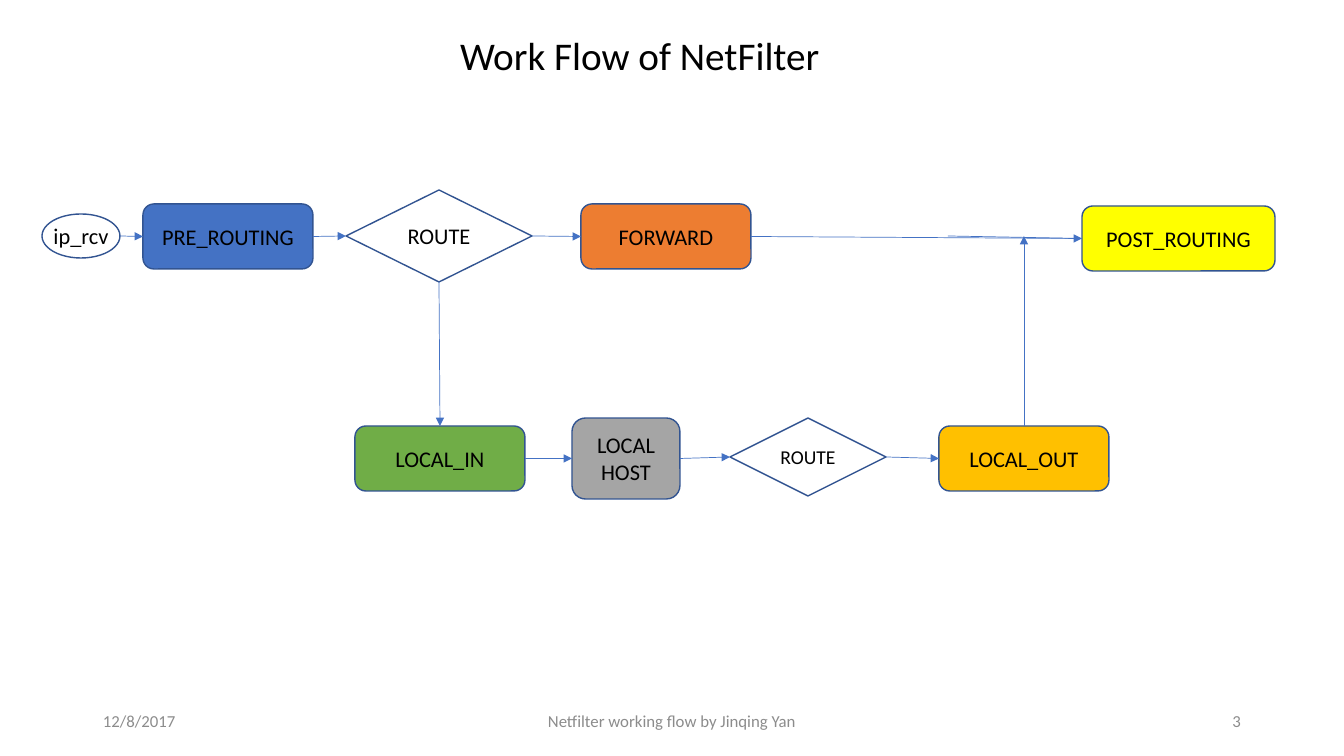
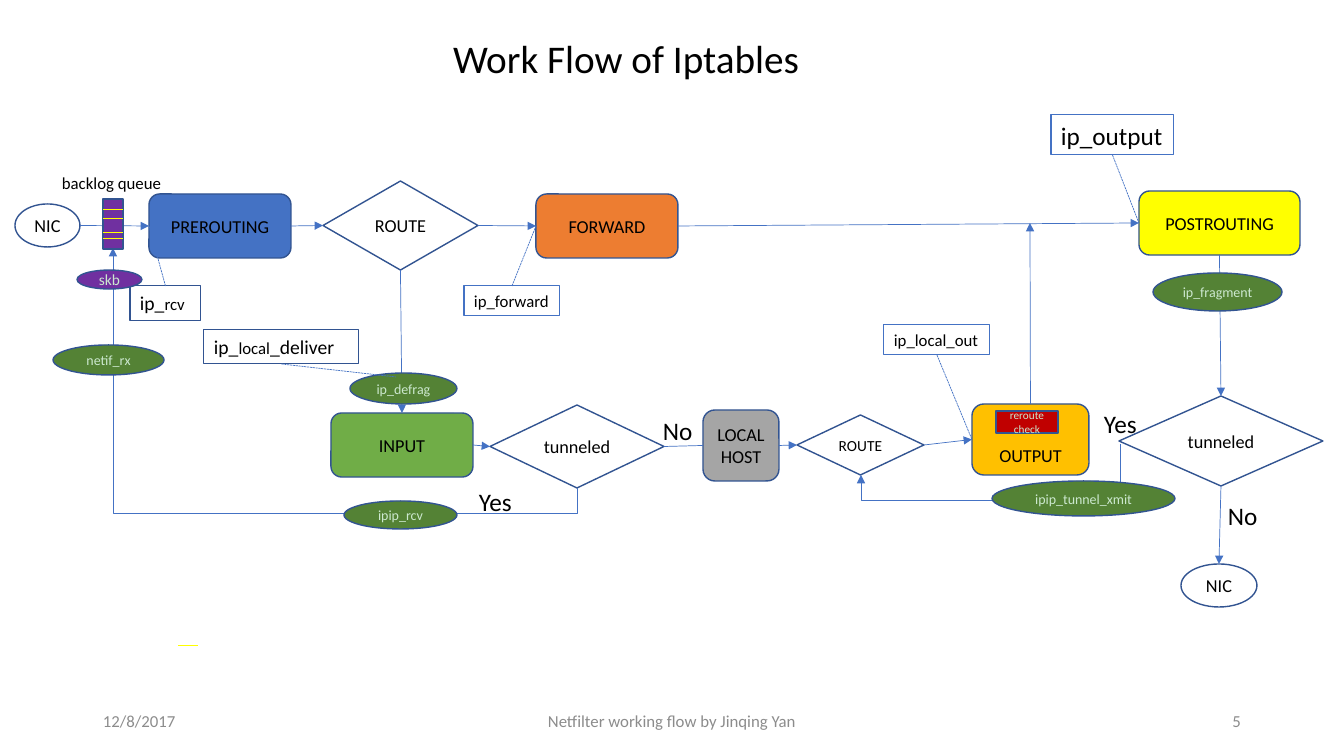
from lxml import etree
from pptx import Presentation
from pptx.dml.color import RGBColor
from pptx.enum.dml import MSO_LINE
from pptx.enum.shapes import MSO_CONNECTOR, MSO_SHAPE
from pptx.enum.text import MSO_ANCHOR, MSO_AUTO_SIZE, PP_ALIGN
from pptx.oxml.ns import qn
from pptx.util import Emu, Pt

WIDTH, HEIGHT = 1344, 756
SCALE = 12192000 / WIDTH
TITLE_ONLY = 5
FONT = "Calibri"

BLACK = RGBColor(0x00, 0x00, 0x00)
WHITE = RGBColor(0xFF, 0xFF, 0xFF)
GRAY = RGBColor(0xA5, 0xA5, 0xA5)
FOOTER_GRAY = RGBColor(0x8C, 0x8C, 0x8C)
BLUE = RGBColor(0x44, 0x72, 0xC4)
OUTLINE = RGBColor(0x32, 0x54, 0x91)
GREEN = RGBColor(0x70, 0xAD, 0x47)
DARK_GREEN = RGBColor(0x54, 0x82, 0x35)
PALE_GREEN = RGBColor(0xCC, 0xE8, 0xCF)
ORANGE = RGBColor(0xED, 0x7D, 0x31)
GOLD = RGBColor(0xFF, 0xC0, 0x00)
YELLOW = RGBColor(0xFF, 0xFF, 0x00)
PURPLE = RGBColor(0x70, 0x30, 0xA0)
RED = RGBColor(0xC0, 0x00, 0x00)

OVAL, DIAMOND = MSO_SHAPE.OVAL, MSO_SHAPE.DIAMOND
BOX, RECTANGLE = MSO_SHAPE.ROUNDED_RECTANGLE, MSO_SHAPE.RECTANGLE
STRAIGHT, ELBOW = MSO_CONNECTOR.STRAIGHT, MSO_CONNECTOR.ELBOW
SYSTEM_DASH = MSO_LINE.SQUARE_DOT
LEFT_ALIGN, CENTER, RIGHT_ALIGN = PP_ALIGN.LEFT, PP_ALIGN.CENTER, PP_ALIGN.RIGHT
ANCHOR_TOP, MIDDLE, ANCHOR_BOTTOM = MSO_ANCHOR.TOP, MSO_ANCHOR.MIDDLE, MSO_ANCHOR.BOTTOM
NO_AUTO_SIZE = MSO_AUTO_SIZE.NONE

# Connection sites of boxes and diamonds, with their place in the frame
TOP, LEFT, BOTTOM, RIGHT = range(4)
SITES = {TOP: (0.5, 0), LEFT: (0, 0.5), BOTTOM: (0.5, 1), RIGHT: (1, 0.5)}

NO_MARGINS = dict.fromkeys(
    ("margin_left", "margin_top", "margin_right", "margin_bottom"), 0)


def emu(pixels):
    """Turn pixels into EMU."""
    return Emu(round(pixels * SCALE))


def set_values(target, values):
    """Set each attribute named in values on target."""
    for name, value in values.items():
        setattr(target, name, value)


def site_point(shape, side):
    """Return the pixel position of the middle of one side of a shape."""
    across, down = SITES[side]
    return ((shape.left + across * shape.width) / SCALE,
            (shape.top + down * shape.height) / SCALE)


class FlowDeck:
    """Holds the presentation, its style and the current slide."""

    def __init__(self):
        """Start an empty wide presentation."""
        self.presentation = Presentation()
        set_values(self.presentation,
                   {"slide_width": emu(WIDTH), "slide_height": emu(HEIGHT)})
        self.slide = None

    def start_slide(self, title, left, top, number):
        """Add a slide with its title and footer."""
        layout = self.presentation.slide_layouts[TITLE_ONLY]
        self.slide = self.presentation.slides.add_slide(layout)
        background = self.slide.background.fill
        background.solid()
        background.fore_color.rgb = WHITE
        heading = self.slide.shapes.title
        self.place(heading, (left, top, 728, 57))
        self.set_text(heading, title, 28, align=LEFT_ALIGN, anchor=ANCHOR_TOP)
        footer = ((93, 302, "12/8/2017", LEFT_ALIGN),
                  (445, 454, "Netfilter working flow by Jinqing Yan", CENTER),
                  (949, 302, number, RIGHT_ALIGN))
        for start, width, text, align in footer:
            self.text(text, (start, 701, width, 40), 12, color=FOOTER_GRAY,
                      align=align, anchor=MIDDLE)

    def place(self, shape, frame):
        """Move and size a shape to a pixel frame."""
        names = ("left", "top", "width", "height")
        set_values(shape, dict(zip(names, map(emu, frame))))

    def set_text(self, shape, runs, size, color=BLACK, align=CENTER,
                 anchor=MIDDLE, wrap=True, margins=None):
        """Set one paragraph, given as a string or as (text, size) runs."""
        frame = shape.text_frame
        set_values(frame, {"auto_size": NO_AUTO_SIZE, "word_wrap": wrap,
                           "vertical_anchor": anchor, **(margins or {})})
        paragraph = frame.paragraphs[0]
        paragraph.alignment = align
        if isinstance(runs, str):
            runs = [(runs, size)]
        for text, run_size in runs:
            run = paragraph.add_run()
            run.text = text
            set_values(run.font, {"name": FONT, "size": Pt(run_size)})
            run.font.color.rgb = color

    def text(self, text, frame, size, **style):
        """Add a text box."""
        box = self.slide.shapes.add_textbox(*map(emu, frame))
        self.set_text(box, text, size,
                      **{"align": LEFT_ALIGN, "anchor": ANCHOR_TOP, **style})

    def shape(self, kind, frame, fill=None, line=OUTLINE, weight=1):
        """Add an outlined shape, filled if a fill is given."""
        shape = self.slide.shapes.add_shape(kind, *map(emu, frame))
        shape.shadow.inherit = False
        if fill is None:
            shape.fill.background()
        else:
            shape.fill.solid()
            shape.fill.fore_color.rgb = fill
        shape.line.color.rgb = line
        shape.line.width = Pt(weight)
        return shape

    def box(self, text, frame, size, fill, kind=BOX, **style):
        """Add a filled box with wrapped text."""
        shape = self.shape(kind, frame, fill)
        self.set_text(shape, text, size, **style)
        return shape

    def node(self, kind, text, frame, size, fill=None, color=BLACK):
        """Add a diamond or an oval with one line of text."""
        shape = self.shape(kind, frame, fill)
        self.set_text(shape, text, size, color, wrap=False, margins=NO_MARGINS)
        return shape

    def callout(self, text, frame, size, line, start_side, end):
        """Add a framed function name with a dashed leader to end."""
        shape = self.shape(RECTANGLE, frame, line=line, weight=0.75)
        self.set_text(shape, text, size, align=LEFT_ALIGN, anchor=ANCHOR_TOP,
                      wrap=False)
        self.line((shape, start_side), end, arrow=False, dash=SYSTEM_DASH)

    def finish_line(self, connector, color, arrow, dash=None):
        """Give a connector its colour, dash and arrowhead, and no shadow."""
        connector.line.color.rgb = color
        set_values(connector.line, {"width": Pt(0.5), "dash_style": dash})
        properties = connector.element.spPr
        if arrow:
            etree.SubElement(properties.find(qn("a:ln")), qn("a:tailEnd"),
                             type="triangle")
        etree.SubElement(properties, qn("a:effectLst"))

    def line(self, begin, end, arrow=True, color=BLUE, dash=None):
        """Join two ends, each a pixel point or a (shape, side) pair."""
        glued = [not isinstance(tip[0], (int, float)) for tip in (begin, end)]
        points = [site_point(*tip) if held else tip
                  for tip, held in zip((begin, end), glued)]
        connector = self.slide.shapes.add_connector(
            STRAIGHT, *(emu(value) for point in points for value in point))
        joins = (connector.begin_connect, connector.end_connect)
        for tip, held, join in zip((begin, end), glued, joins):
            if held and tip[0].auto_shape_type != OVAL:
                join(*tip)
        self.finish_line(connector, color, arrow, dash)

    def chain(self, *shapes):
        """Join shapes from left to right with arrows."""
        for first, second in zip(shapes, shapes[1:]):
            self.line((first, RIGHT), (second, LEFT))

    def elbow(self, begin, end, turn):
        """Join two points leftward by way of a level stretch at height turn."""
        (start_x, start_y), (end_x, end_y) = begin, end
        middle_x, middle_y = (start_x + end_x) / 2, (start_y + end_y) / 2
        half_width, half_height = (end_y - start_y) / 2, (start_x - end_x) / 2
        connector = self.slide.shapes.add_connector(
            ELBOW, emu(middle_x - half_width), emu(middle_y - half_height),
            emu(middle_x + half_width), emu(middle_y + half_height))
        properties = connector.element.spPr
        properties.find(qn("a:xfrm")).set("rot", "5400000")
        share = round(100000 * (turn - start_y) / (end_y - start_y))
        adjustments = properties.find(qn("a:prstGeom")).find(qn("a:avLst"))
        etree.SubElement(adjustments, qn("a:gd"), name="adj1", fmla=f"val {share}")
        self.finish_line(connector, BLUE, arrow=True)


def build_netfilter(deck):
    """Build the slide of the five hooks."""
    deck.start_slide("Work Flow of NetFilter", 450, 26, "3")
    receive = deck.node(OVAL, "ip_rcv", (42, 214, 78, 44), 16)
    prerouting = deck.box("PRE_ROUTING", (143, 204, 170, 65), 16, BLUE)
    route = deck.node(DIAMOND, "ROUTE", (346, 190, 186, 92), 16)
    local_in = deck.box("LOCAL_IN", (355, 426, 170, 65), 16, GREEN)
    forward = deck.box("FORWARD", (581, 204, 170, 65), 16, ORANGE)
    local_out = deck.box("LOCAL_OUT", (939, 426, 170, 65), 16, GOLD)
    postrouting = deck.box("POST_ROUTING", (1082, 206, 193, 65), 16, YELLOW)
    host = deck.box("LOCAL HOST", (572, 418, 108, 81), 16, GRAY)
    local_route = deck.node(DIAMOND, "ROUTE", (730, 418, 156, 78), 14)
    deck.chain(receive, prerouting, route, forward, postrouting)
    deck.chain(local_in, host, local_route, local_out)
    deck.line((route, BOTTOM), (local_in, TOP))
    deck.line((local_out, TOP), (1024, 236))
    deck.line((948, 236), (postrouting, LEFT), arrow=False)


def build_iptables(deck):
    """Build the slide of the chains and the kernel functions around them."""
    deck.start_slide("Work Flow of Iptables", 443, 29, "5")
    card_in = deck.node(OVAL, "NIC", (15, 204, 65, 43), 13)
    prerouting = deck.box("PREROUTING", (149, 194, 142, 64), 13, BLUE)
    route = deck.node(DIAMOND, "ROUTE", (323, 181, 155, 89), 13)
    input_box = deck.box("INPUT", (331, 413, 142, 64), 13, GREEN)
    forward = deck.box("FORWARD", (536, 194, 142, 64), 13, ORANGE)
    postrouting = deck.box("POSTROUTING", (1139, 191, 161, 64), 13, YELLOW)
    host = deck.box("LOCAL HOST", (703, 410, 76, 71), 13, GRAY)
    tunneled_in = deck.node(DIAMOND, "tunneled", (490, 405, 174, 83), 13)
    tunneled_out = deck.node(DIAMOND, "tunneled", (1119, 396, 204, 90), 13)
    card_out = deck.node(OVAL, "NIC", (1181, 564, 76, 43), 13)
    local_route = deck.node(DIAMOND, "ROUTE", (797, 415, 127, 60), 11)

    deck.chain(card_in, prerouting, route, forward, postrouting)
    deck.chain(input_box, tunneled_in)
    deck.line((tunneled_in, RIGHT), (host, LEFT), arrow=False)
    deck.chain(host, local_route)
    for upper, lower in ((route, input_box), (postrouting, tunneled_out),
                         (tunneled_out, card_out)):
        deck.line((upper, BOTTOM), (lower, TOP))
    deck.elbow((577, 488), (113, 248), 513)
    deck.elbow((1120, 444), (861, 475), 500)

    for text, left, top in (("Yes", 469, 481), ("Yes", 1094, 403),
                            ("No", 653, 410), ("No", 1218, 495)):
        deck.text(text, (left, top, 53, 40), 18, wrap=False)

    for text, frame in (("ip_fragment", (1153, 273, 129, 38)),
                        ("ip_defrag", (350, 373, 107, 31)),
                        ("ipip_rcv", (344, 501, 113, 28)),
                        ("netif_rx", (53, 345, 111, 30)),
                        ("ipip_tunnel_xmit", (992, 481, 183, 35))):
        deck.node(OVAL, text, frame, 10, DARK_GREEN, PALE_GREEN)

    output = deck.box("OUTPUT", (972, 404, 117, 71), 13, GOLD,
                      anchor=ANCHOR_BOTTOM)
    deck.box("reroute check", (996, 411, 62, 22), 8, RED, RECTANGLE,
             color=PALE_GREEN)
    deck.chain(local_route, output)
    deck.line((output, TOP), (1030, 223))

    deliver = [("ip_", 14), ("local", 12), ("_deliver", 14)]
    receive = [("ip_", 14), ("rcv", 12)]
    for text, frame, size, line, side, end in (
            ("ip_output", (1051, 115, 123, 40), 18, BLUE, BOTTOM, (postrouting, LEFT)),
            ("ip_local_out", (884, 325, 106, 30), 12, BLUE, BOTTOM, (output, LEFT)),
            ("ip_forward", (464, 286, 96, 30), 12, BLUE, TOP, (forward, LEFT)),
            (deliver, (204, 330, 155, 34), 14, OUTLINE, BOTTOM, (396, 377)),
            (receive, (130, 286, 71, 35), 14, OUTLINE, TOP, (prerouting, LEFT))):
        deck.callout(text, frame, size, line, side, end)

    deck.shape(RECTANGLE, (103, 199, 20, 50), PURPLE)
    for left, height in ((103, 209), (103, 218), (103, 232), (103, 238), (178, 645)):
        deck.line((left, height), (left + 20, height), arrow=False, color=YELLOW)
    deck.text("backlog queue", (52, 168, 173, 30), 12)
    deck.node(OVAL, "skb", (77, 270, 65, 19), 11, PURPLE, PALE_GREEN)


def main():
    """Build both slides and save them."""
    deck = FlowDeck()
    build_netfilter(deck)
    build_iptables(deck)
    deck.presentation.save("out.pptx")


main()
